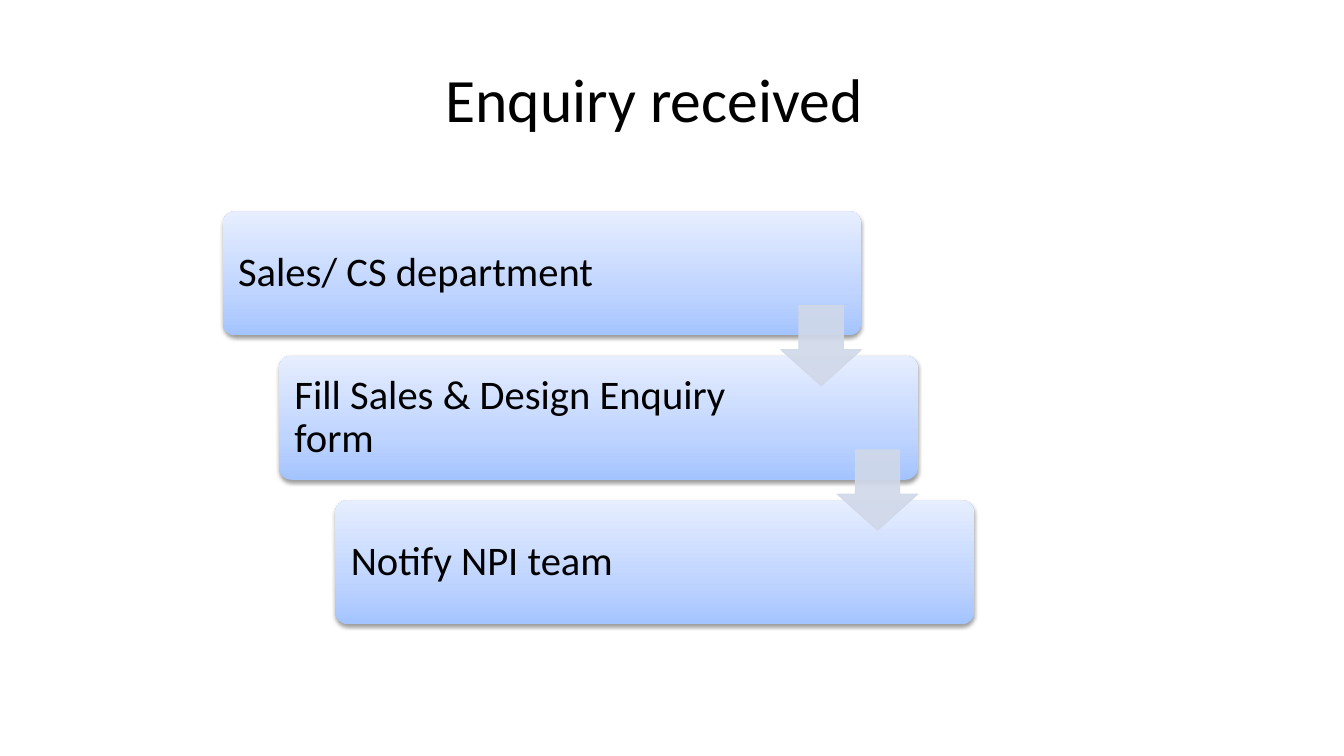
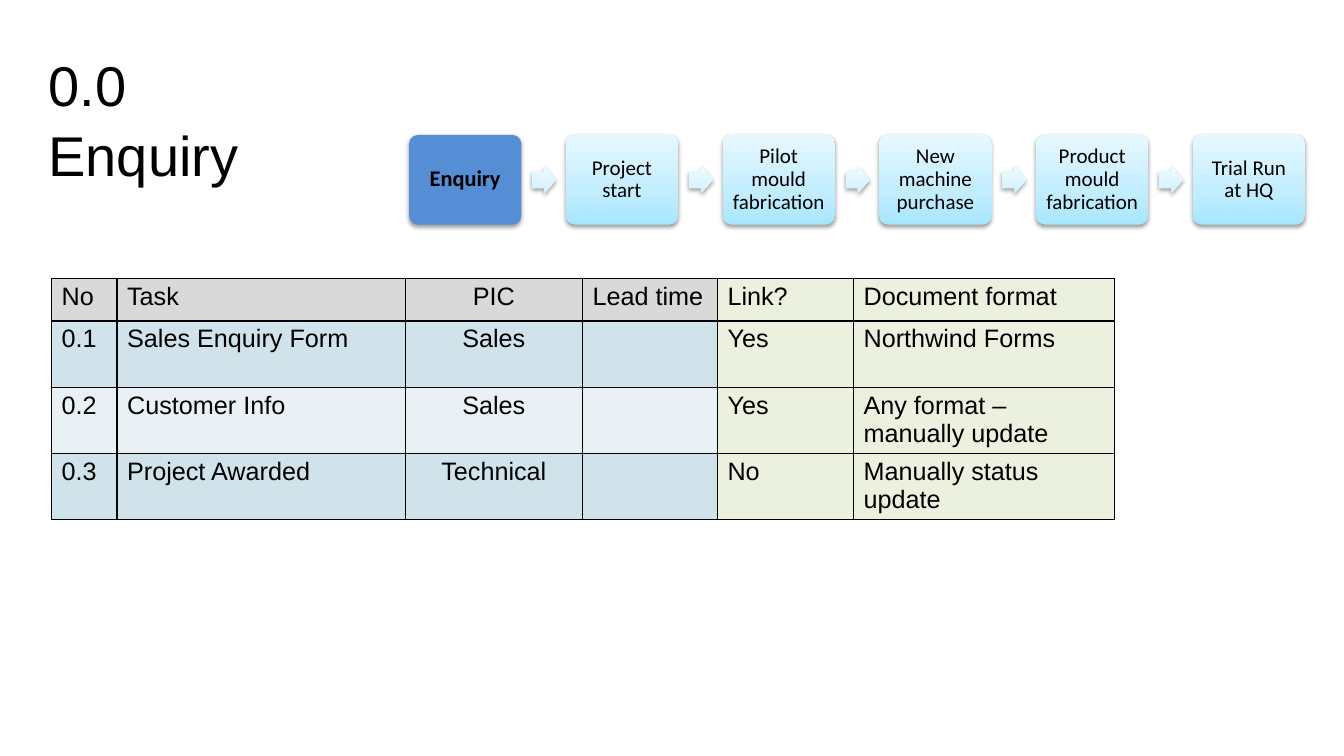
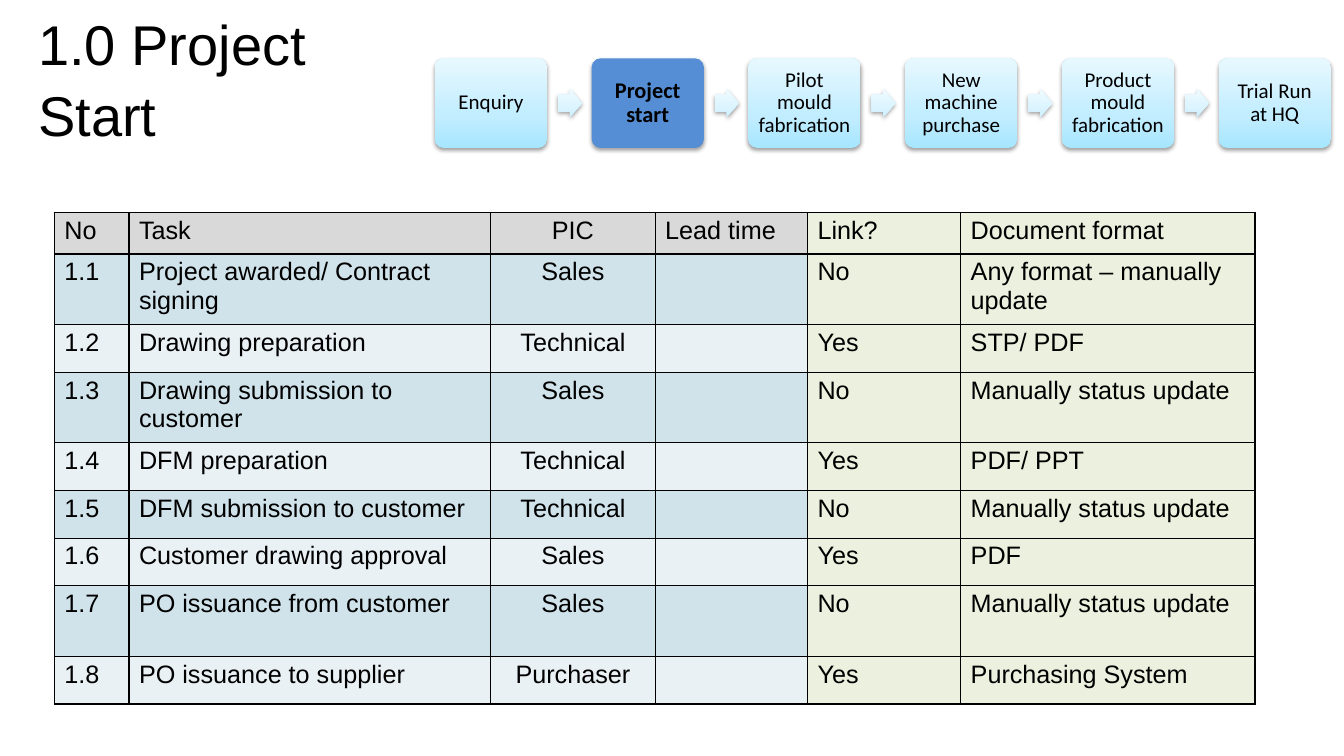
from dataclasses import dataclass

from pptx import Presentation
from pptx.dml.color import RGBColor
from pptx.enum.shapes import MSO_SHAPE
from pptx.enum.text import MSO_ANCHOR, MSO_AUTO_SIZE, PP_ALIGN
from pptx.oxml import parse_xml
from pptx.oxml.ns import nsdecls, qn
from pptx.util import Cm, Pt

ROUND = MSO_SHAPE.ROUNDED_RECTANGLE
DOWN, RIGHT = MSO_SHAPE.DOWN_ARROW, MSO_SHAPE.RIGHT_ARROW
LEFT, CENTER = PP_ALIGN.LEFT, PP_ALIGN.CENTER
TOP, MIDDLE = MSO_ANCHOR.TOP, MSO_ANCHOR.MIDDLE
FIXED = MSO_AUTO_SIZE.NONE


@dataclass(frozen=True)
class Theme:
    sans: str = "Arial"
    soft: str = "Calibri"
    ink: str = "000000"
    # Gradients run from bottom to top
    stair: tuple = ("A4C4FF", "BFD4FF", "E6EEFF")
    stage: tuple = ("A7E6FF", "C1EDFF", "E7F8FF")
    link: tuple = ("CEF0FF", "DBF4FF", "F1FBFF")
    active: str = "558ED5"
    arrow: str = "D0D8E8"
    head: str = "D9D9D9"
    bands: tuple = ("D0E3EA", "E9F1F5")
    side: str = "EBF1DE"
    cover: int = 44
    title: int = 40
    step: int = 29
    now: int = 16
    label: int = 15
    body: int = 18


T = Theme()
STAGES = ("Enquiry", "Project start", "Pilot mould fabrication",
          "New machine purchase", "Product mould fabrication",
          "Trial Run at HQ")
HEADS = ("No", "Task", "PIC", "Lead time", "Link?", "Document format")
MANUAL = "Manually status update"
ANY = "Any format – manually update"


# Shared helpers
def style(para, size, face, bold=False, align=LEFT):
    para.alignment = align
    font = para.font
    font.size, font.name, font.bold = Pt(size), face, bold
    font.color.rgb = RGBColor.from_string(T.ink)


def paint(shape, color):
    shape.fill.solid()
    shape.fill.fore_color.rgb = RGBColor.from_string(color)


def blend(shape, colors):
    stops = "".join(
        f'<a:gs pos="{pos}"><a:srgbClr val="{color}"/></a:gs>'
        for pos, color in zip((0, 35000, 100000), colors))
    geom = shape._element.spPr.find(qn("a:prstGeom"))
    geom.addnext(parse_xml(
        f'<a:gradFill {nsdecls("a")} rotWithShape="1"><a:gsLst>{stops}'
        '</a:gsLst><a:lin ang="16200000" scaled="0"/></a:gradFill>'))


def shade(shape):
    effect = shape._element.spPr.find(qn("a:effectLst"))
    effect.append(parse_xml(
        f'<a:outerShdw {nsdecls("a")} blurRad="40000" dist="20000" '
        'dir="5400000" rotWithShape="0"><a:srgbClr val="000000">'
        '<a:alpha val="38000"/></a:srgbClr></a:outerShdw>'))


def add(slide, kind, box, adjust):
    shape = slide.shapes.add_shape(kind, *map(Cm, box))
    shape.shadow.inherit = False
    shape.line.fill.background()
    for i, value in enumerate(adjust):
        shape.adjustments[i] = value
    return shape


def card(slide, box, text, fill, size, bold, align, pad, right):
    shape = add(slide, ROUND, box, [0.1])
    if isinstance(fill, str):
        paint(shape, fill)
    else:
        blend(shape, fill)
    shade(shape)
    frame = shape.text_frame
    frame.word_wrap = True
    frame.vertical_anchor = MIDDLE
    frame.margin_left = frame.margin_top = frame.margin_bottom = Cm(pad)
    frame.margin_right = Cm(right)
    para = frame.paragraphs[0]
    para.text = text
    para.line_spacing = 0.9
    style(para, size, T.soft, bold, align)


def title(slide, box, text, size, face, align=LEFT, anchor=TOP, space=1.05):
    shape = slide.shapes.title
    shape.left, shape.top, shape.width, shape.height = map(Cm, box)
    frame = shape.text_frame
    frame.text = text
    frame.word_wrap = True
    frame.auto_size = FIXED
    frame.vertical_anchor = anchor
    frame.paragraphs[0].line_spacing = space
    style(frame.paragraphs[0], size, face, align=align)


# Descending steps joined by arrows
def stairs(slide, left, top, steps):
    wide, high, shift, pitch, side = 16.1, 3.12, 1.42, 3.64, 2.03
    for i, text in enumerate(steps):
        box = (left + i * shift, top + i * pitch, wide, high)
        card(slide, box, text, T.stair, T.step, False, LEFT, 0.3, 3.7)
    for i in range(len(steps) - 1):
        x = left + i * shift + wide - side
        y = top + i * pitch + (high + pitch - side) / 2
        shape = add(slide, DOWN, (x, y, side, side), [0.55, 0.45])
        paint(shape, T.arrow)
        shape.line.color.rgb = RGBColor.from_string(T.arrow)
        shape.line.width = Pt(0.75)
        for color in shape._element.spPr.iter(qn("a:srgbClr")):
            color.append(parse_xml(f'<a:alpha {nsdecls("a")} val="90000"/>'))


# Row of project stages with the current one marked
def flow(slide, left, top, now):
    wide, high, pitch, gap = 2.83, 2.26, 3.95, 0.27
    tip, tall = 0.61, 0.71
    for i, text in enumerate(STAGES):
        x, live = left + i * pitch, i == now
        card(slide, (x, top, wide, high), text,
             T.active if live else T.stage, T.now if live else T.label,
             live, CENTER, 0.15, 0.15)
        if i < len(STAGES) - 1:
            box = (x + wide + gap, top + (high - tall) / 2, tip, tall)
            shape = add(slide, RIGHT, box, [0.6, 0.5])
            blend(shape, T.link)
            shade(shape)


# Task table
def edge(cell):
    props = cell._tc.get_or_add_tcPr()
    for side in ("lnL", "lnR", "lnT", "lnB"):
        props.append(parse_xml(
            f'<a:{side} {nsdecls("a")} w="12700"><a:solidFill>'
            f'<a:srgbClr val="{T.ink}"/></a:solidFill></a:{side}>'))


def tint(row, col):
    if col >= HEADS.index("Link?"):
        return T.side
    return T.bands[(row - 1) % 2] if row else T.head


def tasks(slide, left, top, widths, heights, rows):
    grid = [HEADS] + [(no, task, who, "", link, form)
                      for no, task, who, link, form in rows]
    table = slide.shapes.add_table(
        len(grid), len(HEADS), Cm(left), Cm(top),
        Cm(sum(widths)), Cm(sum(heights))).table
    table.first_row = table.horz_banding = False
    for col, width in zip(table.columns, widths):
        col.width = Cm(width)
    for r, (line, height) in enumerate(zip(grid, heights)):
        table.rows[r].height = Cm(height)
        for c, text in enumerate(line):
            cell = table.cell(r, c)
            cell.margin_top = cell.margin_bottom = Cm(0.1)
            edge(cell)
            paint(cell, tint(r, c))
            para = cell.text_frame.paragraphs[0]
            para.text = text
            style(para, T.body, T.sans,
                  align=CENTER if HEADS[c] == "PIC" else LEFT)


# Slides
def intro(slide):
    title(slide, (1.25, 0.87, 30.48, 3.17), "Enquiry received",
          T.cover, T.soft, CENTER, MIDDLE, 1)
    stairs(slide, 5.61, 5.33, ("Sales/ CS department",
                               "Fill Sales & Design Enquiry form",
                               "Notify NPI team"))


def enquiry(slide):
    title(slide, (0.97, 1.05, 6.5, 3.8), "0.0 Enquiry", T.title, T.sans)
    flow(slide, 10.31, 3.4, 0)
    tasks(slide, 1.3, 7.01, (1.65, 7.26, 4.47, 3.4, 3.43, 6.58),
          (1.08, 1.67, 1.67, 1.67), (
        ("0.1", "Sales Enquiry Form", "Sales", "Yes", "Northwind Forms"),
        ("0.2", "Customer Info", "Sales", "Yes", ANY),
        ("0.3", "Project Awarded", "Technical", "No", MANUAL)))


def start(slide):
    title(slide, (0.71, 0.04, 8.5, 3.8), "1.0 Project Start",
          T.title, T.sans)
    flow(slide, 10.96, 1.47, 1)
    tasks(slide, 1.37, 5.36, (1.88, 9.12, 4.14, 3.84, 3.86, 7.42),
          (1.04, 1.78, 1.2, 1.78, 1.2, 1.2, 1.2, 1.78, 1.2), (
        ("1.1", "Project awarded/ Contract signing", "Sales", "No", ANY),
        ("1.2", "Drawing preparation", "Technical", "Yes", "STP/ PDF"),
        ("1.3", "Drawing submission to customer", "Sales", "No", MANUAL),
        ("1.4", "DFM preparation", "Technical", "Yes", "PDF/ PPT"),
        ("1.5", "DFM submission to customer", "Technical", "No", MANUAL),
        ("1.6", "Customer drawing approval", "Sales", "Yes", "PDF"),
        ("1.7", "PO issuance from customer", "Sales", "No", MANUAL),
        ("1.8", "PO issuance to supplier", "Purchaser", "Yes",
         "Purchasing System")))


def main():
    deck = Presentation()
    deck.slide_width, deck.slide_height = Cm(33.87), Cm(19.05)
    plain = deck.slide_layouts.get_by_name("Title Only")
    for build in (intro, enquiry, start):
        build(deck.slides.add_slide(plain))
    deck.save("out.pptx")


if __name__ == "__main__":
    main()
